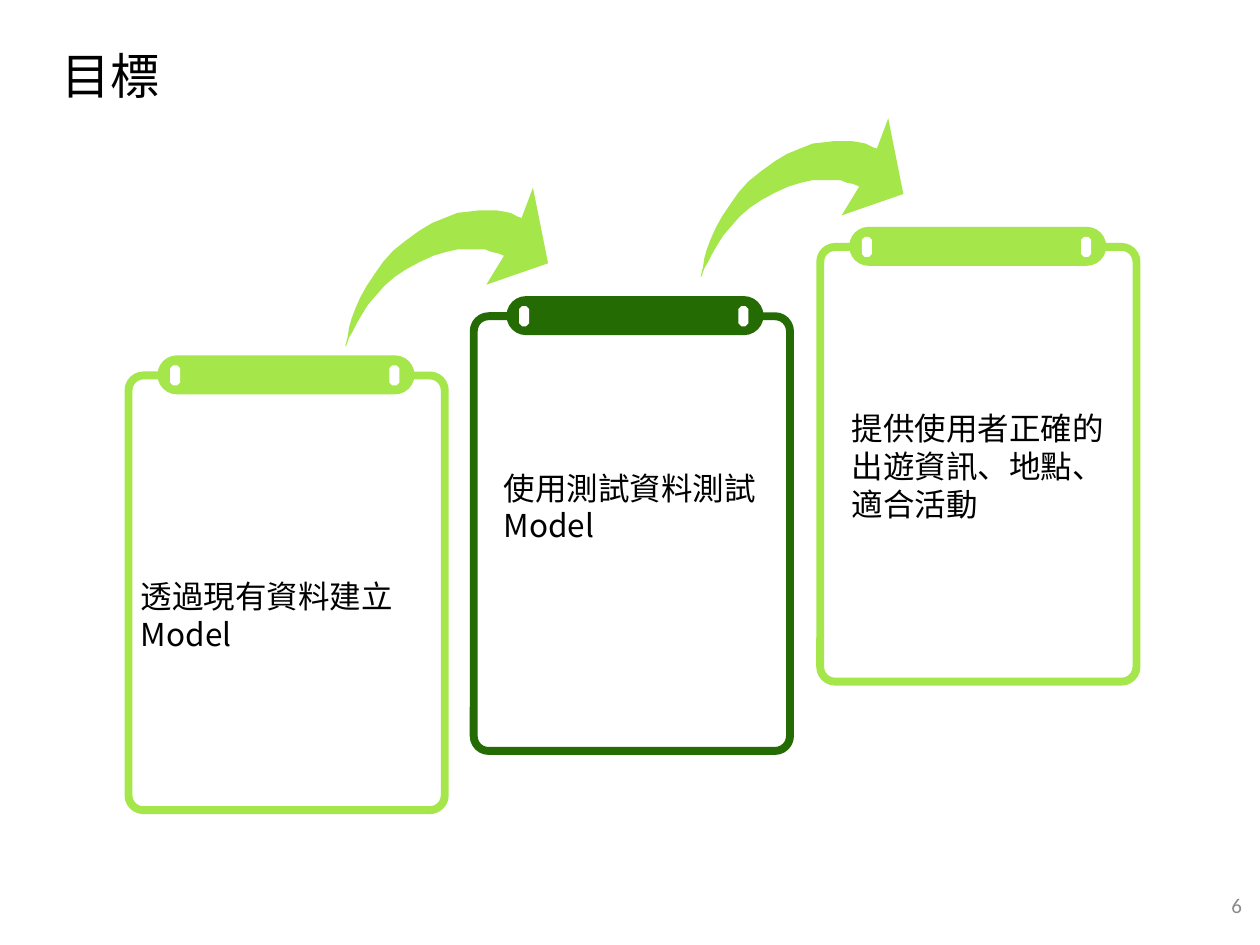
import pptx
import pptx.util
import pptx.dml.color
import pptx.enum.shapes
import pptx.enum.text
import pptx.oxml.ns
import lxml.etree

Inches = pptx.util.Inches
RGBColor = pptx.dml.color.RGBColor
Shape = pptx.enum.shapes.MSO_SHAPE
Align = pptx.enum.text.PP_ALIGN
Anchor = pptx.enum.text.MSO_ANCHOR

LIME = RGBColor(0xA5, 0xE6, 0x4A)
GREEN = RGBColor(0x24, 0x6B, 0x03)
WHITE = RGBColor(0xFF, 0xFF, 0xFF)
BLACK = RGBColor(0, 0, 0)
GREY = RGBColor(0x8C, 0x8C, 0x8C)
CJK_FONT = "Noto Sans CJK SC"

# Content
TITLE = "目標"
PAGE_NUMBER = "6"
CARDS = [
    # frame corner, clip offset, colour, text box, lines, wrap
    dict(left=1.02, top=2.98, clip=0.23, color=LIME, box=(1.02, 4.53, 2.53, 0.71),
         lines=["透過現有資料建立Model"], wrap=True),
    dict(left=3.76, top=2.51, clip=0.26, color=GREEN, box=(3.9, 3.67, 2.22, 0.71),
         lines=["使用測試資料測試", "Model"], wrap=False),
    dict(left=6.51, top=1.96, clip=0.23, color=LIME, box=(6.66, 3.2, 2.59, 1.01),
         lines=["提供使用者正確的", "出遊資訊、地點、", "適合活動"], wrap=True),
]
ARROWS = [(2.74, 1.49), (5.56, 0.94)]

# Curved arrow outline, in hundredths of an inch from its top left corner
ARROW_OUTLINE = [
    (0, 126), (1, 125), (3, 119), (6, 114), (9, 108), (13, 101), (18, 93),
    (24, 86), (31, 78), (39, 71), (48, 65), (59, 59), (70, 54), (80, 51),
    (89, 49), (97, 49), (105, 49), (111, 49), (116, 51), (121, 52), (126, 54),
    (112, 77), (161, 60), (149, 0), (140, 24), (137, 23), (131, 20), (126, 19),
    (120, 18), (113, 18), (106, 18), (98, 19), (89, 20), (79, 24), (69, 28),
    (59, 34), (48, 42), (38, 50), (30, 59), (23, 69), (17, 78), (12, 87),
    (8, 96), (5, 104), (3, 111), (2, 118), (1, 122),
]


def write_text(shape, lines, *, size, color=BLACK, font=CJK_FONT,
               align=Align.LEFT, anchor=Anchor.TOP, wrap=True):
    frame = shape.text_frame
    frame.word_wrap = wrap
    frame.auto_size = pptx.enum.text.MSO_AUTO_SIZE.NONE
    frame.vertical_anchor = anchor
    for index, line in enumerate(lines):
        paragraph = frame.add_paragraph() if index else frame.paragraphs[0]
        paragraph.alignment = align
        run = paragraph.add_run()
        run.text = line
        run.font.size = pptx.util.Pt(size)
        run.font.name = font
        run.font.color.rgb = color
        east_asian = lxml.etree.SubElement(run.font._element, pptx.oxml.ns.qn("a:ea"))
        east_asian.set("typeface", font)


def add_shape(slide, kind, box, *, adjust, fill=None, line=None):
    shape = slide.shapes.add_shape(kind, *map(Inches, box))
    shape.shadow.inherit = False
    shape.adjustments[0] = adjust
    if fill is None:
        shape.fill.background()
    else:
        shape.fill.solid()
        shape.fill.fore_color.rgb = fill
    if line is None:
        shape.line.fill.background()
    else:
        shape.line.color.rgb = line
        shape.line.width = pptx.util.Pt(4.5)
    return shape


def add_arrow(slide, left, top):
    builder = slide.shapes.build_freeform(*ARROW_OUTLINE[0], scale=Inches(0.01))
    builder.add_line_segments(ARROW_OUTLINE[1:], close=True)
    arrow = builder.convert_to_shape(Inches(left), Inches(top))
    arrow.shadow.inherit = False
    arrow.fill.solid()
    arrow.fill.fore_color.rgb = LIME
    arrow.line.fill.background()


def add_card(slide, card):
    left, top, color = card["left"], card["top"], card["color"]
    add_shape(slide, Shape.ROUNDED_RECTANGLE, (left, top, 2.51, 3.45),
              adjust=0.047, line=color)
    # Clip with a slot near each end
    clip_left, clip_top = left + card["clip"], top - 0.16
    add_shape(slide, Shape.ROUNDED_RECTANGLE, (clip_left, clip_top, 2.04, 0.31),
              adjust=0.5, fill=color)
    for offset in (0.1, 1.84):
        add_shape(slide, Shape.OCTAGON, (clip_left + offset, clip_top + 0.08, 0.08, 0.16),
                  adjust=0.293, fill=WHITE)


def add_text_box(slide, box, lines, **style):
    write_text(slide.shapes.add_textbox(*map(Inches, box)), lines, **style)


def main():
    presentation = pptx.Presentation()
    presentation.slide_width = Inches(10)
    presentation.slide_height = Inches(7.5)
    slide = presentation.slides.add_slide(presentation.slide_layouts[5])

    # Title
    title = slide.shapes.title
    title.left, title.top, title.width, title.height = map(Inches, (0.39, 0.31, 0.99, 0.57))
    write_text(title, [TITLE], size=28, wrap=False)

    # Cards rising to the right, joined by arrows
    for card in CARDS:
        add_card(slide, card)
    for left, top in ARROWS:
        add_arrow(slide, left, top)
    for card in CARDS:
        add_text_box(slide, card["box"], card["lines"], size=18, wrap=card["wrap"])

    # Page number
    add_text_box(slide, (8.23, 6.98, 3.17, 0.4), [PAGE_NUMBER], size=12, color=GREY,
                 font="Calibri", align=Align.CENTER, anchor=Anchor.MIDDLE)

    presentation.save("out.pptx")


if __name__ == "__main__":
    main()
